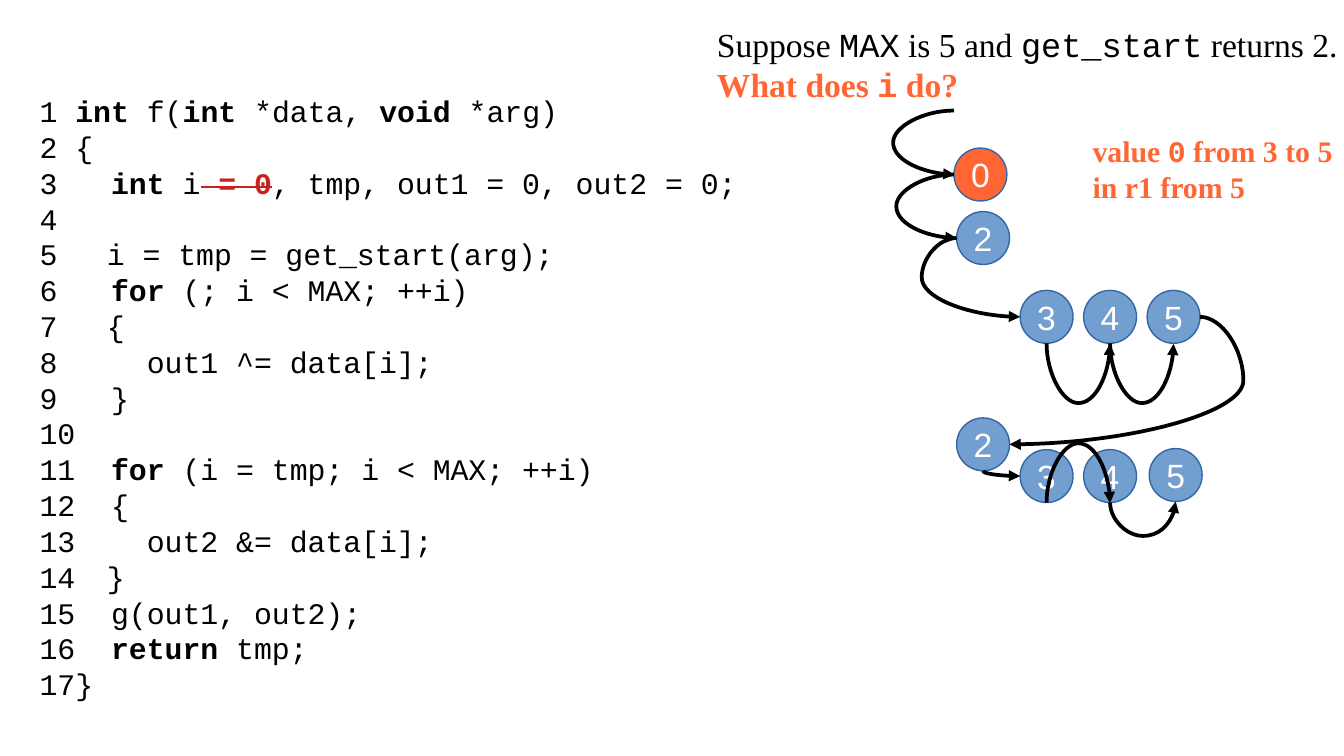
"""Build the slide that traces the values of i through a C function."""
import lxml.etree
import pptx
import pptx.dml.color
import pptx.enum.shapes
import pptx.enum.text
import pptx.oxml.ns
import pptx.util

Cm = pptx.util.Cm
qn = pptx.oxml.ns.qn
SERIF, MONO, SANS = "Times New Roman", "Courier New", "Arial"
BLACK, WHITE, ORANGE, RED = "000000", "FFFFFF", "FF6633", "C9211E"
BLUE, EDGE = "729FCF", "3465A4"


def rgb(value):
    return pptx.dml.color.RGBColor.from_string(value)


def write(paragraph, text, font=SERIF, size=18, color=BLACK, bold=False, strike=False):
    run = paragraph.add_run()
    run.text = text
    run.font.name = font
    run.font.size = pptx.util.Pt(size)
    run.font.color.rgb = rgb(color)
    run.font.bold = bold
    if strike:
        run.font._element.set("strike", "sngStrike")


def marked(text, accent, **base):
    return [(piece, {**base, **(accent if i % 2 else {})})
            for i, piece in enumerate(text.split("|")) if piece]


def left_of(circle):
    return circle.left, circle.top + circle.height // 2


def right_of(circle):
    return circle.left + circle.width, circle.top + circle.height // 2


def below(circle):
    return circle.left + circle.width // 2, circle.top + circle.height


class TraceSlide:
    def __init__(self, slide, diameter=1.0):
        self.slide = slide
        self.diameter = Cm(diameter)

    def text(self, left, top, width, height, paragraphs):
        box = self.slide.shapes.add_textbox(Cm(left), Cm(top), Cm(width), Cm(height))
        frame = box.text_frame
        frame.word_wrap = True
        frame.auto_size = pptx.enum.text.MSO_AUTO_SIZE.SHAPE_TO_FIT_TEXT
        for i, runs in enumerate(paragraphs):
            paragraph = frame.add_paragraph() if i else frame.paragraphs[0]
            for words, style in runs:
                write(paragraph, words, **style)

    def circle(self, value, left, top, fill=BLUE):
        circle = self.slide.shapes.add_shape(
            pptx.enum.shapes.MSO_SHAPE.OVAL, Cm(left), Cm(top), self.diameter, self.diameter)
        circle.shadow.inherit = False
        circle.fill.solid()
        circle.fill.fore_color.rgb = rgb(fill)
        circle.line.color.rgb = rgb(EDGE)
        circle.line.width = 0
        frame = circle.text_frame
        frame.word_wrap = False
        frame.vertical_anchor = pptx.enum.text.MSO_ANCHOR.MIDDLE
        frame.paragraphs[0].alignment = pptx.enum.text.PP_ALIGN.CENTER
        write(frame.paragraphs[0], str(value), font=SANS, color=WHITE)
        return circle

    def curve(self, start, end, bend=None, vertical=False):
        (x1, y1), (x2, y2) = start, end
        if vertical:
            y2 = y2 if y2 != y1 else y1 + Cm(0.01)
            origin, span = y1, y2 - y1
            middle_x, middle_y = (x1 + x2) // 2, (y1 + y2) // 2
            half_w, half_h = span // 2, (x2 - x1) // 2
            ends = (middle_x + half_w, middle_y - half_h, middle_x - half_w, middle_y + half_h)
        else:
            x2 = x2 if x2 != x1 else x1 + Cm(0.01)
            origin, span = x1, x2 - x1
            ends = (x1, y1, x2, y2)
        arrow = self.slide.shapes.add_connector(pptx.enum.shapes.MSO_CONNECTOR.CURVE, *ends)
        arrow.line.color.rgb = rgb(BLACK)
        arrow.line.width = 0
        properties = arrow._element.spPr
        if vertical:
            properties.find(qn("a:xfrm")).set("rot", "16200000")
        geometry = properties.find(qn("a:prstGeom"))
        if bend is None:
            geometry.set("prst", "curvedConnector2")
        else:
            adjustment = round(100000 * (Cm(bend) - origin) / span)
            lxml.etree.SubElement(geometry.find(qn("a:avLst")), qn("a:gd"),
                                  name="adj1", fmla=f"val {adjustment}")
        lxml.etree.SubElement(properties.find(qn("a:ln")), qn("a:tailEnd"), type="triangle")
        lxml.etree.SubElement(properties, qn("a:effectLst"))


def main():
    deck = pptx.Presentation()
    deck.slide_width, deck.slide_height = Cm(25.4), Cm(14.29)
    trace = TraceSlide(deck.slides.add_slide(deck.slide_layouts[6]))

    mono = {"font": MONO}
    question = (marked("Suppose |MAX| is 5 and |get_start| returns 2. ", mono)
                + marked("What does |i| do?", mono, color=ORANGE, bold=True))
    trace.text(13.3, 0.33, 12.35, 2.79, [question])

    code = {"font": MONO, "size": 16}
    listing = [
        "1 |int| f(|int| *data, |void| *arg)",
        "2 {",
        "3   |int| i",
        "4",
        "5 \ti = tmp = get_start(arg);",
        "6   |for| (; i < MAX; ++i)",
        "7 \t{",
        "8     out1 ^= data[i];",
        "9   }",
        "10",
        "11  |for| (i = tmp; i < MAX; ++i)",
        "12  {",
        "13    out2 &= data[i];",
        "14\t}",
        "15  g(out1, out2);",
        "16  |return| tmp;",
        "17}",
    ]
    code_lines = [marked(line, {"bold": True}, **code) for line in listing]
    code_lines[2] += [
        (" = 0", {**code, "color": RED, "bold": True, "strike": True}),
        (", tmp, out1 = 0, out2 = 0;", code),
    ]
    trace.text(0.5, 1.63, 14.76, 11.33, code_lines)

    note = {"size": 16, "color": ORANGE, "bold": True}
    trace.text(20.4, 2.39, 7.95, 2.31,
               [marked(line, mono, **note) for line in ("value |0| from 3 to 5", "in r1 from 5")])

    first_column, pitch = 18.08, 1.2
    zero = trace.circle(0, 18.03, 2.8, fill=ORANGE)
    two = trace.circle(2, first_column, 4.0)
    three, four, five = [trace.circle(n, first_column + (n - 2) * pitch, 5.49) for n in (3, 4, 5)]
    two_again = trace.circle(2, first_column, 7.9)
    three_again, four_again = [
        trace.circle(n, first_column + (n - 2) * pitch, 8.5) for n in (3, 4)]
    five_again = trace.circle(5, 21.72, 8.48)

    trace.curve((zero.left, Cm(2.09)), left_of(zero), bend=16.88)
    trace.curve(left_of(zero), left_of(two), bend=16.94)
    trace.curve(left_of(two), left_of(three), bend=17.42)
    trace.curve(below(three), below(four), bend=7.62, vertical=True)
    trace.curve(below(four), below(five), bend=7.62, vertical=True)
    trace.curve(right_of(five), right_of(two_again), bend=23.5)
    trace.curve(below(two_again), left_of(three_again), vertical=True)
    trace.curve(below(three_again), below(four_again), bend=8.38, vertical=True)
    trace.curve(below(four_again), below(five_again), bend=10.13, vertical=True)

    deck.save("out.pptx")


if __name__ == "__main__":
    main()
